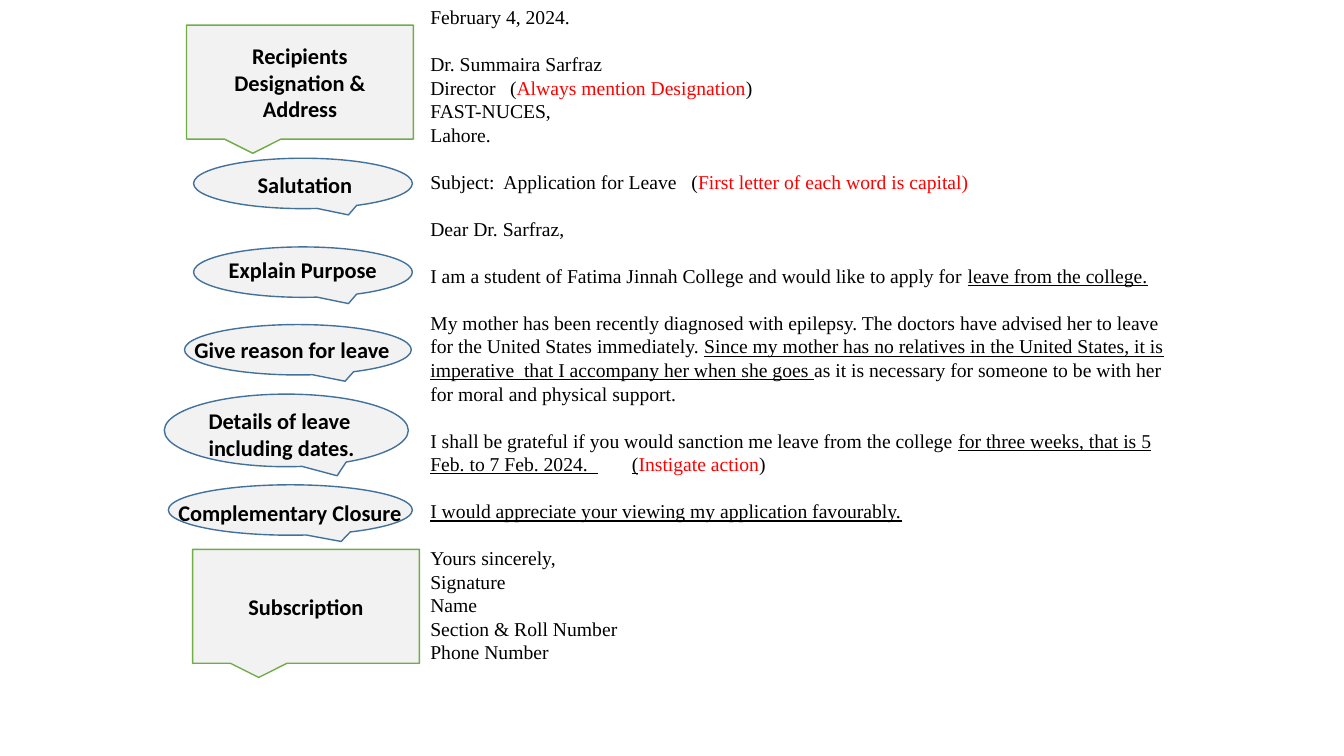
from lxml import etree
from pptx import Presentation
from pptx import util as u
from pptx.dml.color import RGBColor
from pptx.enum import shapes, text
from pptx.oxml.ns import qn

COLORS = {"ink": "000000", "note": "FF0000", "fill": "F2F2F2",
          "oval": "42719B", "panel": "70AD47"}
LETTER_SIZE, LABEL_SIZE, BLANK_LINE = 14, 16, 16.8
PLAIN, UNDER, NOTE = "plain", "underlined", "note"

LETTER_BLOCKS = [
    [[("February 4, 2024.", PLAIN)]],
    [[("Dr. Summaira Sarfraz", PLAIN)],
     [("Director\t(", PLAIN), ("Always mention Designation", NOTE), (")", PLAIN)],
     [("FAST-NUCES,", PLAIN)],
     [("Lahore.", PLAIN)]],
    [[("Subject:  Application for Leave\t(", PLAIN),
      ("First letter of each word is capital)", NOTE)]],
    [[("Dear Dr. Sarfraz,", PLAIN)]],
    [[("I am a student of Fatima Jinnah College and would like to apply for ", PLAIN),
      ("leave from the college.", UNDER)]],
    [[("My mother has been recently diagnosed with epilepsy. The doctors have "
       "advised her to leave for the United States immediately. ", PLAIN),
      ("Since my mother has no relatives in the United States, it is "
       "imperative  that I accompany her when she goes ", UNDER),
      ("as it is necessary for someone to be with her for moral and "
       "physical support.", PLAIN)]],
    [[("I shall be grateful if you would sanction me leave from the college ", PLAIN),
      ("for three weeks, that is 5 Feb. to 7 Feb. 2024.  ", UNDER),
      ("\t", PLAIN), ("(", UNDER), ("Instigate action", NOTE), (")", PLAIN)]],
    [[("I would appreciate your viewing my application favourably.", UNDER)]],
    [[("Yours sincerely,", PLAIN)],
     [("Signature", PLAIN)],
     [("Name", PLAIN)],
     [("Section & Roll Number", PLAIN)],
     [("Phone Number", PLAIN)]],
]
TAB_STOPS = {"Director": 0.79, "Subject:": 2.59, "I shall": 2.0}

OVAL_LABELS = [
    ("Salutation", (1.92, 1.57, 2.17, 0.5), (2.11, 1.65, 1.83, 0.37), True),
    ("Explain Purpose", (1.92, 2.45, 2.17, 0.5), (2.17, 2.49, 1.83, 0.37), False),
    ("Give reason for leave", (1.83, 3.22, 2.25, 0.5), (1.83, 3.29, 2.25, 0.37), False),
    ("Details of leave including dates.", (1.63, 3.91, 2.42, 0.72),
     (1.97, 3.99, 2.25, 0.64), False),
    ("Complementary Closure", (1.67, 4.81, 2.42, 0.5), (1.67, 4.9, 2.7, 0.37), False),
]
PANEL_LABELS = [
    ("Recipients Designation & Address", (1.85, 0.25, 2.25, 1.13)),
    ("Subscription", (1.91, 5.45, 2.25, 1.13)),
]


def color(name):
    return RGBColor.from_string(COLORS[name])


def place(bounds):
    return [u.Inches(value) for value in bounds]


def add_span(para, words, font_name, size, ink="ink", bold=False, underline=False):
    span = para.add_run()
    span.text = words
    span.font.name = font_name
    span.font.size = u.Pt(size)
    span.font.bold = bold
    span.font.underline = underline
    span.font.color.rgb = color(ink)


def add_box(page, bounds):
    box = page.shapes.add_textbox(*place(bounds))
    box.text_frame.word_wrap = True
    box.text_frame.auto_size = text.MSO_AUTO_SIZE.SHAPE_TO_FIT_TEXT
    return box


def add_tab_stop(para, position):
    tabs = etree.SubElement(para._p.get_or_add_pPr(), qn("a:tabLst"))
    etree.SubElement(tabs, qn("a:tab"), pos=str(u.Inches(position)), algn="l")


def add_letter(page):
    frame = add_box(page, (4.17, 0, 7.5, 6.7)).text_frame
    for block_index, block in enumerate(LETTER_BLOCKS):
        for line_index, spans in enumerate(block):
            first = block_index == line_index == 0
            para = frame.paragraphs[0] if first else frame.add_paragraph()
            for opening, position in TAB_STOPS.items():
                if spans[0][0].startswith(opening):
                    add_tab_stop(para, position)
            if block_index and line_index == 0:
                para.space_before = u.Pt(BLANK_LINE)
            for words, style in spans:
                add_span(para, words, "Times New Roman", LETTER_SIZE,
                         ink="note" if style == NOTE else "ink",
                         underline=style == UNDER)


def add_callout(page, kind, bounds, outline):
    callout = page.shapes.add_shape(kind, *place(bounds))
    callout.shadow.inherit = False
    callout.adjustments[0] = -0.208
    callout.adjustments[1] = 0.625
    callout.fill.solid()
    callout.fill.fore_color.rgb = color("fill")
    callout.line.color.rgb = color(outline)
    callout.line.width = u.Pt(1)
    return callout


def add_label(frame, words, centered):
    para = frame.paragraphs[0]
    para.alignment = text.PP_ALIGN.CENTER if centered else text.PP_ALIGN.LEFT
    add_span(para, words, "Calibri", LABEL_SIZE, bold=True)


def add_oval_label(page, words, oval_bounds, label_bounds, centered):
    oval = add_callout(page, shapes.MSO_SHAPE.OVAL_CALLOUT, oval_bounds, "oval")
    oval._element.spPr.xfrm.set("flipH", "1")
    add_label(add_box(page, label_bounds).text_frame, words, centered)


def add_panel_label(page, words, bounds):
    panel = add_callout(page, shapes.MSO_SHAPE.RECTANGULAR_CALLOUT, bounds, "panel")
    panel.text_frame.word_wrap = True
    panel.text_frame.vertical_anchor = text.MSO_ANCHOR.MIDDLE
    add_label(panel.text_frame, words, True)


def main():
    deck = Presentation()
    deck.slide_width, deck.slide_height = u.Inches(13.33), u.Inches(7.5)
    page = deck.slides.add_slide(deck.slide_layouts[6])
    add_letter(page)
    for label in OVAL_LABELS:
        add_oval_label(page, *label)
    for label in PANEL_LABELS:
        add_panel_label(page, *label)
    deck.save("out.pptx")


if __name__ == "__main__":
    main()
